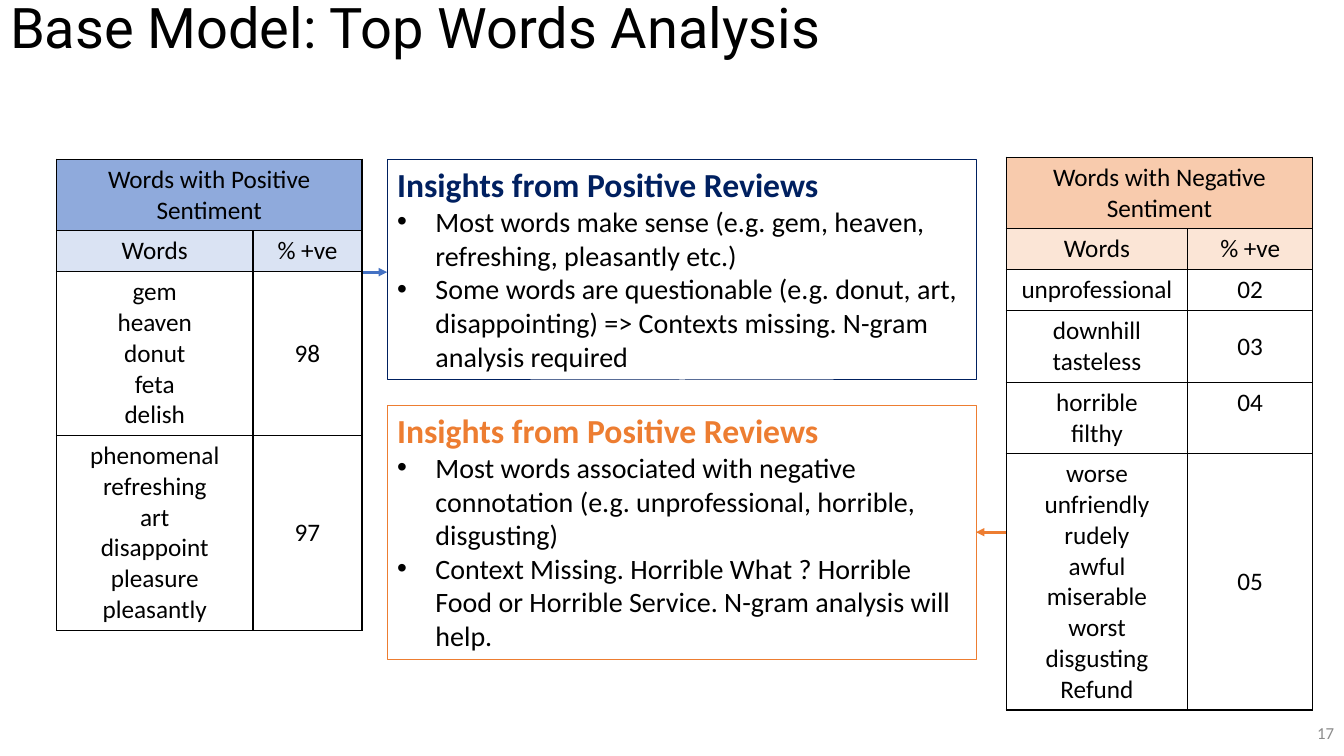
"""Build the slide on top words of the base model, with insights per sentiment."""
from lxml import etree
from pptx import Presentation
from pptx.dml.color import RGBColor
from pptx.enum.shapes import MSO_CONNECTOR, MSO_SHAPE
from pptx.enum.text import MSO_ANCHOR, PP_ALIGN
from pptx.oxml.ns import qn
from pptx.util import Inches, Pt

RECTANGLE = MSO_SHAPE.RECTANGLE
STRAIGHT = MSO_CONNECTOR.STRAIGHT
LEFT, CENTER, RIGHT = PP_ALIGN.LEFT, PP_ALIGN.CENTER, PP_ALIGN.RIGHT
TOP, MIDDLE = MSO_ANCHOR.TOP, MSO_ANCHOR.MIDDLE

COLORS = {
    "black": "000000", "white": "FFFFFF", "gray": "8C8C8C",
    "navy": "002060", "orange": "ED7D31", "blue": "4472C4",
    "blue header": "8FAADC", "blue subheader": "DAE3F3",
    "orange header": "F8CBAD", "orange subheader": "FBE5D6",
}
TITLE = "Base Model: Top Words Analysis"
PAGE_NUMBER = "17"
COLUMN_HEADS = ("Words", "% +ve")

WORD_TABLES = [
    {
        "heading": "Words with Positive Sentiment", "hue": "blue",
        "left": 0.56, "top": 1.58, "columns": (1.95, 1.08),
        "groups": [
            (["gem", "heaven", "donut", "feta", "delish"], "98", MIDDLE),
            (["phenomenal", "refreshing", "art", "disappoint", "pleasure",
              "pleasantly"], "97", MIDDLE),
        ],
    },
    {
        "heading": "Words with Negative Sentiment", "hue": "orange",
        "left": 9.98, "top": 1.56, "columns": (1.8, 1.24),
        "groups": [
            (["unprofessional"], "02", TOP),
            (["downhill", "tasteless"], "03", MIDDLE),
            (["horrible", "filthy"], "04", TOP),
            (["worse", "unfriendly", "rudely", "awful", "miserable", "worst",
              "disgusting", "Refund"], "05", MIDDLE),
        ],
    },
]
INSIGHT_LEFT, INSIGHT_WIDTH = 3.84, 5.85
INSIGHTS = [
    ("Insights from Positive Reviews", "navy", 1.58, 2.19, [
        "Most words make sense (e.g. gem, heaven, refreshing, pleasantly etc.)",
        "Some words are questionable (e.g. donut, art, disappointing) => "
        "Contexts missing. N-gram analysis required",
    ]),
    ("Insights from Positive Reviews", "orange", 4.02, 2.52, [
        "Most words associated with negative connotation (e.g. unprofessional, "
        "horrible, disgusting)",
        "Context Missing. Horrible What ? Horrible Food or Horrible Service. "
        "N-gram analysis will help.",
    ]),
]
ARROWS = [(3.6, 3.84, 2.7, "blue"), (9.98, 9.68, 5.28, "orange")]


def rgb(color):
    return RGBColor.from_string(COLORS[color])


def format_paragraph(paragraph, size, color="black", align=LEFT, bold=False, face="Calibri"):
    paragraph.alignment = align
    font = paragraph.font
    font.name, font.size, font.bold = face, Pt(size), bold
    font.color.rgb = rgb(color)


def add_border(cell):
    properties = cell._tc.get_or_add_tcPr()
    for side in ("a:lnL", "a:lnR", "a:lnT", "a:lnB"):
        edge = etree.SubElement(properties, qn(side), w=str(Pt(1)))
        fill = etree.SubElement(edge, qn("a:solidFill"))
        etree.SubElement(fill, qn("a:srgbClr"), val=COLORS["black"])


def fill_cell(cell, text, color=None, anchor=TOP):
    cell.text = text
    cell.vertical_anchor = anchor
    for paragraph in cell.text_frame.paragraphs:
        format_paragraph(paragraph, 18, align=CENTER)
    add_border(cell)
    if color:
        cell.fill.solid()
        cell.fill.fore_color.rgb = rgb(color)
    else:
        cell.fill.background()


def add_word_table(slide, content):
    line_counts = [2, 1] + [len(words) for words, _, _ in content["groups"]]
    heights = [0.1 + 0.3 * lines for lines in line_counts]
    columns = content["columns"]
    table = slide.shapes.add_table(
        len(heights), len(columns), Inches(content["left"]), Inches(content["top"]),
        Inches(sum(columns)), Inches(sum(heights))).table
    table.first_row = table.horz_banding = False
    for column, width in zip(table.columns, columns):
        column.width = Inches(width)
    for row, height in zip(table.rows, heights):
        row.height = Inches(height)

    heading = table.cell(0, 0)
    heading.merge(table.cell(0, 1))
    fill_cell(heading, content["heading"], content["hue"] + " header")
    add_border(table.cell(0, 1))
    for index, head in enumerate(COLUMN_HEADS):
        fill_cell(table.cell(1, index), head, content["hue"] + " subheader")
    for index, (words, share, anchor) in enumerate(content["groups"], start=2):
        fill_cell(table.cell(index, 0), "\n".join(words))
        fill_cell(table.cell(index, 1), share, anchor=anchor)


def add_insight(slide, heading, color, top, height, points):
    box = slide.shapes.add_shape(RECTANGLE, Inches(INSIGHT_LEFT), Inches(top),
                                 Inches(INSIGHT_WIDTH), Inches(height))
    box.shadow.inherit = False
    box.fill.solid()
    box.fill.fore_color.rgb = rgb("white")
    box.line.color.rgb = rgb(color)
    box.line.width = Pt(0.75)
    frame = box.text_frame
    frame.word_wrap = True
    frame.vertical_anchor = TOP
    frame.text = "\n".join([heading] + points)
    first, *bullets = frame.paragraphs
    format_paragraph(first, 24, color, bold=True)
    for paragraph in bullets:
        format_paragraph(paragraph, 20)
        properties = paragraph._p.get_or_add_pPr()
        properties.set("marL", str(Inches(0.38)))
        properties.set("indent", str(-Inches(0.38)))
        bullet_font = etree.Element(qn("a:buFont"), typeface="Arial")
        bullet = etree.Element(qn("a:buChar"), char="•")
        properties.insert(0, bullet_font)
        properties.insert(1, bullet)


def add_arrow(slide, start, end, height, color):
    arrow = slide.shapes.add_connector(
        STRAIGHT, Inches(start), Inches(height), Inches(end), Inches(height))
    arrow.line.color.rgb = rgb(color)
    arrow.line.width = Pt(2)
    etree.SubElement(arrow.line._get_or_add_ln(), qn("a:tailEnd"), type="triangle")
    etree.SubElement(arrow._element.spPr, qn("a:effectLst"))


def main():
    presentation = Presentation()
    presentation.slide_width, presentation.slide_height = Inches(13.33), Inches(7.5)
    slide = presentation.slides.add_slide(presentation.slide_layouts[5])

    title = slide.shapes.title
    title.left, title.top, title.width, title.height = (
        Inches(0), Inches(0), Inches(11.5), Inches(0.61))
    title.text_frame.text = TITLE
    title.text_frame.vertical_anchor = MIDDLE
    format_paragraph(title.text_frame.paragraphs[0], 40, face="Roboto")
    title.text_frame.paragraphs[0].line_spacing = 0.9

    for content in WORD_TABLES:
        add_word_table(slide, content)
    for insight in INSIGHTS:
        add_insight(slide, *insight)
    for arrow in ARROWS:
        add_arrow(slide, *arrow)

    page = slide.shapes.add_textbox(Inches(10.33), Inches(7.07), Inches(3), Inches(0.4))
    page.text_frame.word_wrap = True
    page.text_frame.vertical_anchor = MIDDLE
    page.text_frame.text = PAGE_NUMBER
    format_paragraph(page.text_frame.paragraphs[0], 12, "gray", RIGHT)
    presentation.save("out.pptx")


if __name__ == "__main__":
    main()
